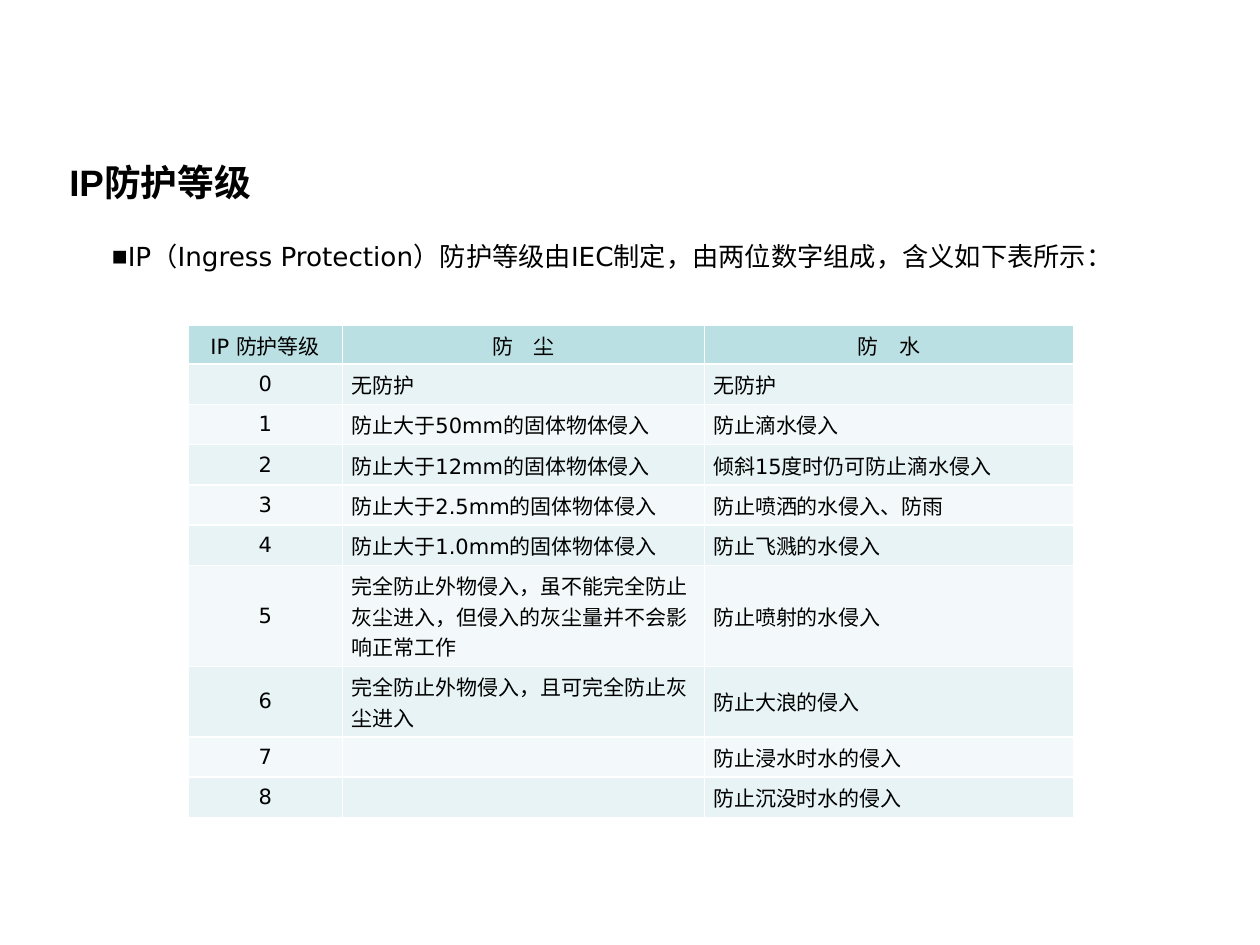
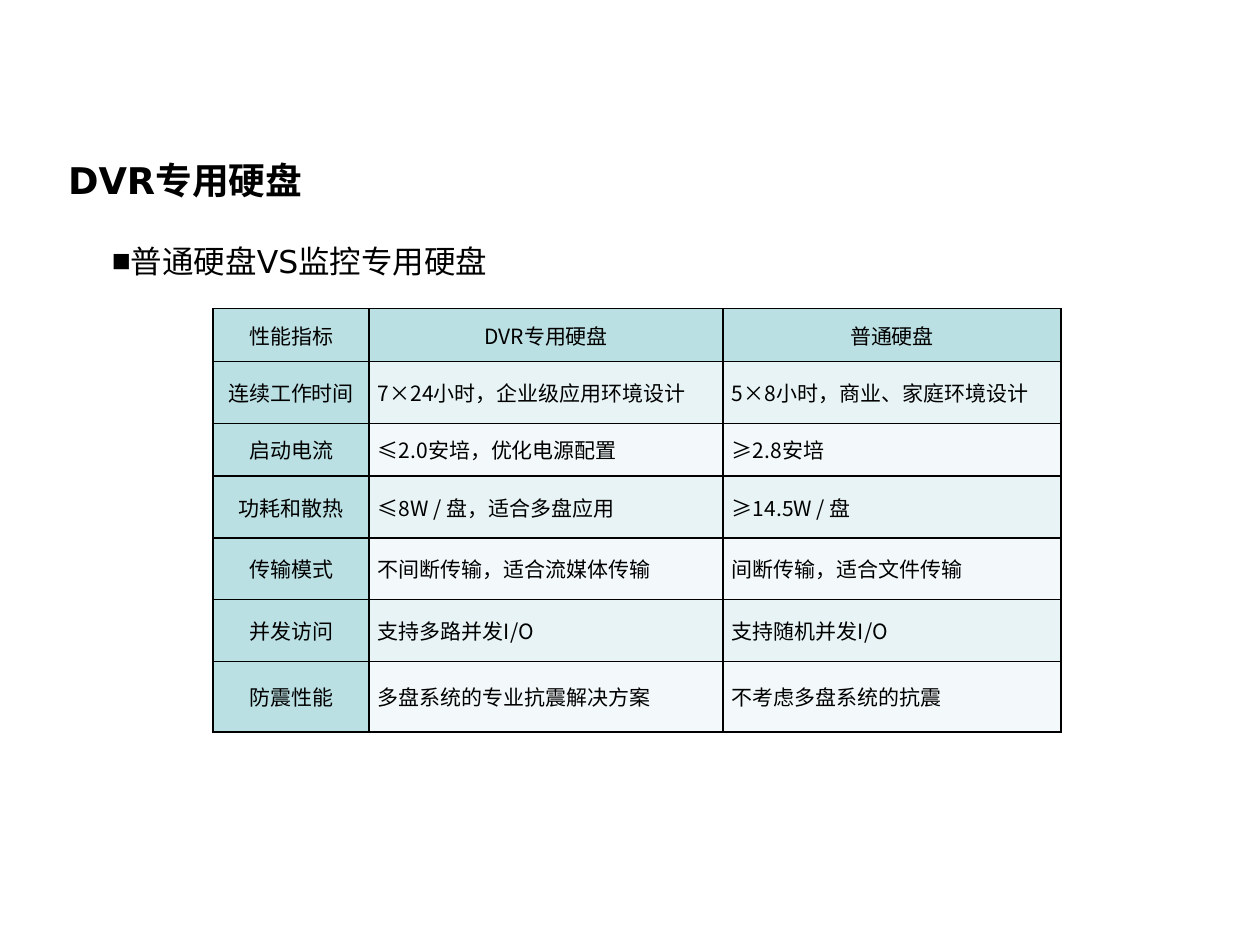
import pptx
import pptx.dml.color
import pptx.enum.text
import pptx.oxml.ns
import pptx.util
from lxml import etree

Inches = pptx.util.Inches
Pt = pptx.util.Pt
RGBColor = pptx.dml.color.RGBColor
PP_ALIGN = pptx.enum.text.PP_ALIGN
MSO_ANCHOR = pptx.enum.text.MSO_ANCHOR
qn = pptx.oxml.ns.qn

BLACK = RGBColor(0x00, 0x00, 0x00)
WHITE = RGBColor(0xFF, 0xFF, 0xFF)
HEADER_TEAL = RGBColor(0xBB, 0xE0, 0xE3)
BAND_TEALS = (RGBColor(0xE7, 0xF3, 0xF4), RGBColor(0xF3, 0xF9, 0xFA))

LATIN_FONT = "DejaVu Sans"
CHINESE_FONT = "Noto Sans CJK SC"
TITLE_SIZE = 21
CELL_SIZE = 12

INTRO_BOX = (0.79, 1.81, 9.21, 4.37)

IP_ROWS = [
    ("IP 防护等级", "防　尘", "防　水"),
    ("0", "无防护", "无防护"),
    ("1", "防止大于50mm的固体物体侵入", "防止滴水侵入"),
    ("2", "防止大于12mm的固体物体侵入", "倾斜15度时仍可防止滴水侵入"),
    ("3", "防止大于2.5mm的固体物体侵入", "防止喷洒的水侵入、防雨"),
    ("4", "防止大于1.0mm的固体物体侵入", "防止飞溅的水侵入"),
    ("5", "完全防止外物侵入，虽不能完全防止灰尘进入，但侵入的灰尘量并不会影响正常工作",
     "防止喷射的水侵入"),
    ("6", "完全防止外物侵入，且可完全防止灰尘进入", "防止大浪的侵入"),
    ("7", "", "防止浸水时水的侵入"),
    ("8", "", "防止沉没时水的侵入"),
]
DISK_ROWS = [
    ("性能指标", "DVR专用硬盘", "普通硬盘"),
    ("连续工作时间", "7×24小时，企业级应用环境设计", "5×8小时，商业、家庭环境设计"),
    ("启动电流", "≤2.0安培，优化电源配置", "≥2.8安培"),
    ("功耗和散热", "≤8W / 盘，适合多盘应用", "≥14.5W / 盘"),
    ("传输模式", "不间断传输，适合流媒体传输", "间断传输，适合文件传输"),
    ("并发访问", "支持多路并发I/O", "支持随机并发I/O"),
    ("防震性能", "多盘系统的专业抗震解决方案", "不考虑多盘系统的抗震"),
]


def format_runs(paragraph, size, latin_font, bold=False):
    for run in paragraph.runs:
        run.font.size = Pt(size)
        run.font.name = latin_font
        run.font.bold = bold
        run.font.color.rgb = BLACK
        latin = run.font._element.find(qn("a:latin"))
        east_asian = etree.Element(qn("a:ea"), typeface=CHINESE_FONT)
        latin.addnext(east_asian)


def place_title(slide, text, box, latin_font):
    title = slide.shapes.title
    title.left, title.top, title.width, title.height = map(Inches, box)
    frame = title.text_frame
    frame.text = text
    frame.auto_size = pptx.enum.text.MSO_AUTO_SIZE.NONE
    frame.vertical_anchor = MSO_ANCHOR.MIDDLE
    frame.paragraphs[0].alignment = PP_ALIGN.LEFT
    format_runs(frame.paragraphs[0], TITLE_SIZE, latin_font, bold=True)


def add_intro(slide, text, box, size):
    """Add the square-bulleted sentence that leads into the table."""
    frame = slide.shapes.add_textbox(*map(Inches, box)).text_frame
    frame.word_wrap = True
    frame.text = text
    paragraph = frame.paragraphs[0]
    paragraph.line_spacing = 1.2
    properties = paragraph._p.get_or_add_pPr()
    properties.set("marL", "0")
    properties.set("indent", "0")
    etree.SubElement(properties, qn("a:buFont"), typeface="Arial")
    etree.SubElement(properties, qn("a:buChar"), char="■")
    format_runs(paragraph, size, LATIN_FONT)


def draw_borders(cell, color):
    properties = cell._tc.get_or_add_tcPr()
    for position, side in enumerate(("lnL", "lnR", "lnT", "lnB")):
        line = etree.Element(qn(f"a:{side}"), w=str(Pt(1)))
        fill = etree.SubElement(line, qn("a:solidFill"))
        etree.SubElement(fill, qn("a:srgbClr"), val=str(color))
        properties.insert(position, line)


def fill_cell(cell, text, background, centred, latin_font, border):
    cell.fill.solid()
    cell.fill.fore_color.rgb = background
    cell.vertical_anchor = MSO_ANCHOR.MIDDLE
    cell.margin_left = cell.margin_right = Inches(0.07)
    cell.margin_top = cell.margin_bottom = Inches(0.04)
    paragraph = cell.text_frame.paragraphs[0]
    paragraph.text = text
    paragraph.alignment = PP_ALIGN.CENTER if centred else PP_ALIGN.LEFT
    format_runs(paragraph, CELL_SIZE, latin_font)
    if not text:
        etree.SubElement(paragraph._p, qn("a:endParaRPr"), sz=str(CELL_SIZE * 100))
    draw_borders(cell, border)


def add_banded_table(slide, rows, origin, widths, heights, latin_font, border,
                     header_column=False):
    """Add a table with a header row, banded body and centred first column."""
    box = (*origin, sum(widths), sum(heights))
    table = slide.shapes.add_table(len(rows), len(widths), *map(Inches, box)).table
    for column, width in zip(table.columns, widths):
        column.width = Inches(width)
    for row, height in zip(table.rows, heights):
        row.height = Inches(height)
    for r, texts in enumerate(rows):
        for c, text in enumerate(texts):
            is_header = r == 0 or (header_column and c == 0)
            background = HEADER_TEAL if is_header else BAND_TEALS[(r - 1) % 2]
            fill_cell(table.cell(r, c), text, background, r == 0 or c == 0,
                      latin_font, border)


def build_ip_slide(slide):
    place_title(slide, "IP防护等级", (0.45, 1.24, 7.48, 0.41), "Arial")
    add_intro(slide, "IP（Ingress Protection）防护等级由IEC制定，由两位数字组成，含义如下表所示：",
              INTRO_BOX, 15)
    heights = [0.31] + [0.32] * 5 + [0.8, 0.56] + [0.32] * 2
    add_banded_table(slide, IP_ROWS, (1.49, 2.58), (1.23, 2.87, 2.93), heights,
                     LATIN_FONT, WHITE)


def build_disk_slide(slide):
    place_title(slide, "DVR专用硬盘", (0.44, 1.22, 7.48, 0.41), LATIN_FONT)
    add_intro(slide, "普通硬盘VS监控专用硬盘", INTRO_BOX, 18)
    heights = [0.42, 0.49, 0.42] + [0.49] * 3 + [0.56]
    add_banded_table(slide, DISK_ROWS, (1.69, 2.45), (1.24, 2.81, 2.68), heights,
                     CHINESE_FONT, BLACK, header_column=True)


def main():
    presentation = pptx.Presentation()
    presentation.slide_width = Inches(10)
    presentation.slide_height = Inches(7.5)
    title_only = presentation.slide_layouts[5]
    for build in (build_ip_slide, build_disk_slide):
        build(presentation.slides.add_slide(title_only))
    presentation.save("out.pptx")


if __name__ == "__main__":
    main()
